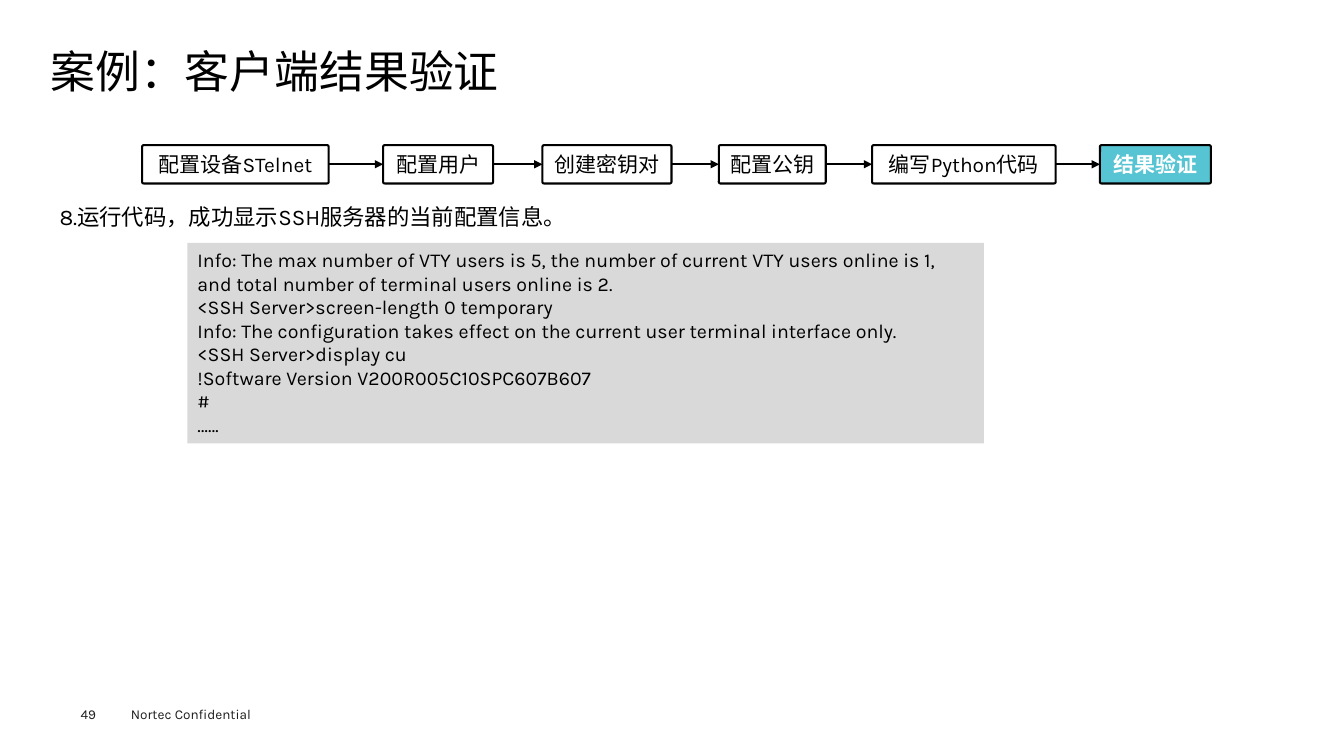
from dataclasses import dataclass
from itertools import pairwise

from lxml.etree import SubElement
from pptx import Presentation
from pptx.dml.color import RGBColor
from pptx.enum.shapes import MSO_CONNECTOR, MSO_SHAPE
from pptx.enum.text import MSO_ANCHOR, PP_ALIGN
from pptx.oxml.ns import qn
from pptx.util import Pt

PX = 9144


@dataclass(frozen=True)
class Theme:
    """Colours, font and type sizes of the slide."""

    font: str = "Karla"
    ink: str = "000000"
    paper: str = "FFFFFF"
    footer_ink: str = "1D1D1B"
    active: str = "56C4D2"
    console: str = "D9D9D9"
    title: float = 32
    body: float = 16
    step: float = 15
    code: float = 14
    footer: float = 9.7
    line: float = 1.5


THEME = Theme()

STEPS = [
    ("配置设备STelnet", 141, 185),
    ("配置用户", 380, 109),
    ("创建密钥对", 538, 128),
    ("配置公钥", 713, 106),
    ("编写Python代码", 865, 182),
    ("结果验证", 1091, 110),
]
STEP_TOP, STEP_HEIGHT = 144, 38

CONSOLE = [
    "Info: The max number of VTY users is 5, the number of current VTY users "
    "online is 1, and total number of terminal users online is 2.",
    "<SSH Server>screen-length 0 temporary",
    "Info: The configuration takes effect on the current user terminal interface only.",
    "<SSH Server>display cu",
    "!Software Version V200R005C10SPC607B607",
    "#",
    "……",
]


def px(*lengths):
    """Turn px lengths into EMU."""
    return [length * PX for length in lengths]


def apply(obj, formats):
    """Set each attribute of obj from a dict of format values."""
    for name, value in formats.items():
        setattr(obj, name, value)


def write(sp, lines, size, color=THEME.ink, bold=False, frame=None, para=None):
    """Fill a shape with one paragraph per line."""
    tf = sp.text_frame
    apply(tf, {"word_wrap": True, **(frame or {})})
    for i, line in enumerate(lines):
        p = tf.add_paragraph() if i else tf.paragraphs[0]
        apply(p, {"alignment": PP_ALIGN.LEFT, **(para or {})})
        r = p.add_run()
        r.text = line
        apply(r.font, {"name": THEME.font, "size": Pt(size), "bold": bold})
        r.font.color.rgb = RGBColor.from_string(color)


def add_text(s, box, text, size, inset=(0, 0), color=THEME.ink, para=None):
    """Add a text box with one paragraph."""
    sp = s.shapes.add_textbox(*px(*box))
    x, y = px(*inset)
    frame = {"margin_left": x, "margin_right": x, "margin_top": y, "margin_bottom": y}
    write(sp, [text], size, color, frame=frame, para=para)


def add_box(s, kind, box, fill):
    """Add a filled shape without line or shadow."""
    sp = s.shapes.add_shape(kind, *px(*box))
    sp.shadow.inherit = False
    sp.fill.solid()
    sp.fill.fore_color.rgb = RGBColor.from_string(fill)
    sp.line.fill.background()
    return sp


def add_step(s, label, left, width, active):
    """Add one outlined step of the flow."""
    box = (left, STEP_TOP, width, STEP_HEIGHT)
    fill = THEME.active if active else THEME.paper
    sp = add_box(s, MSO_SHAPE.ROUNDED_RECTANGLE, box, fill)
    sp.adjustments[0] = 0.04
    sp.line.color.rgb = RGBColor.from_string(THEME.ink)
    sp.line.width = Pt(THEME.line)
    write(sp, [label], THEME.step, THEME.paper if active else THEME.ink, active,
          {"word_wrap": False, "vertical_anchor": MSO_ANCHOR.MIDDLE},
          {"alignment": PP_ALIGN.CENTER})
    return sp


def add_arrow(s, start, end):
    """Join two steps with an arrow."""
    cxn = s.shapes.add_connector(MSO_CONNECTOR.STRAIGHT, 0, 0, 0, 0)
    cxn.begin_connect(start, 3)
    cxn.end_connect(end, 1)
    cxn.line.color.rgb = RGBColor.from_string(THEME.ink)
    cxn.line.width = Pt(THEME.line)
    SubElement(cxn.line._get_or_add_ln(), qn("a:tailEnd"), type="triangle")
    SubElement(cxn._element.spPr, qn("a:effectLst"))


def add_flow(s):
    """Add the row of steps, the last one active, and its arrows."""
    last = len(STEPS) - 1
    steps = [add_step(s, *step, i == last) for i, step in enumerate(STEPS)]
    for start, end in pairwise(steps):
        add_arrow(s, start, end)


def add_console(s):
    """Add the grey panel with the console output."""
    sp = add_box(s, MSO_SHAPE.RECTANGLE, (186, 241, 790, 199), THEME.console)
    write(sp, CONSOLE, THEME.code, frame={"vertical_anchor": MSO_ANCHOR.TOP})


def main():
    """Build and save the slide."""
    prs = Presentation()
    apply(prs, dict(zip(("slide_width", "slide_height"), px(1333, 750))))
    s = prs.slides.add_slide(prs.slide_layouts[6])
    add_text(s, (120, 695, 160, 27), "Nortec Confidential", THEME.footer,
             (10, 5), THEME.footer_ink)
    add_text(s, (80, 700, 55, 16), "49", THEME.footer, color=THEME.footer_ink)
    add_text(s, (50, 49, 1235, 53), "案例：客户端结果验证", THEME.title,
             para={"line_spacing": 0.9})
    add_text(s, (50, 187, 1235, 461), "8.运行代码，成功显示SSH服务器的当前配置信息。",
             THEME.body, (9, 4),
             para={"alignment": PP_ALIGN.JUSTIFY, "line_spacing": 1.4})
    add_flow(s)
    add_console(s)
    prs.save("out.pptx")


if __name__ == "__main__":
    main()
